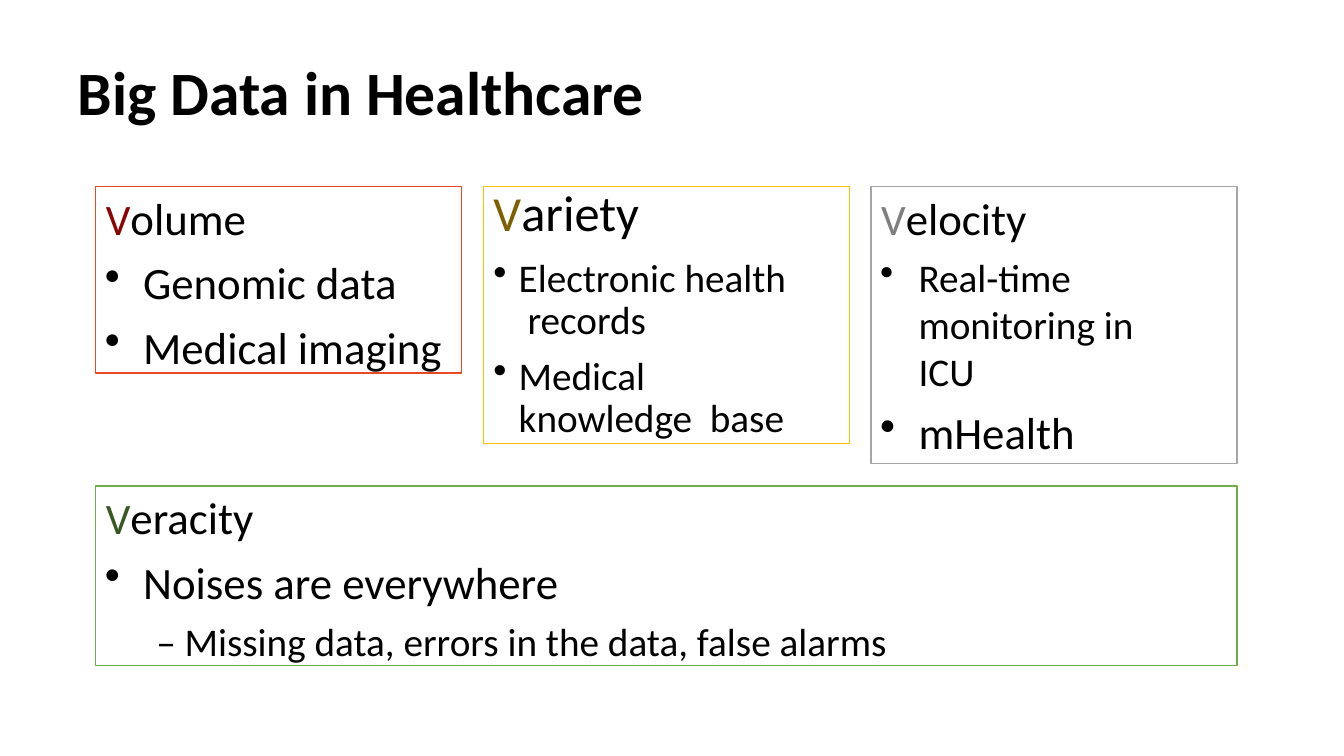
from dataclasses import dataclass

import lxml.etree
import pptx
import pptx.dml.color
import pptx.enum.shapes
import pptx.enum.text
import pptx.oxml.ns
import pptx.util
from pptx.util import Inches

FONT = "Calibri"
COLORS = {
    "text": "000000",
    "red": "E84A27", "dark red": "8B0302",
    "gold": "FFC000", "dark gold": "7F6000",
    "gray": "A5A5A5", "dark gray": "7F7F7F",
    "green": "70AD47", "dark green": "385723",
}


@dataclass
class Item:
    text: str
    size: float = 32
    before: float = 7.6
    left: float = 0.47
    hang: float = 0.38
    right: float = 0
    bullet: str = "•"
    lead: float | None = None  # exact line height in points


@dataclass
class Card:
    head: str
    hue: str
    left: float
    top: float
    width: float
    height: float
    items: list[Item]
    size: float = 32
    first: float = 31  # size of the coloured initial
    inset: float = 0.04
    lead: float | None = None


WIDE, GAP = 3.63, 0.215
LEFT, TOP = 0.95, 1.85
COLS = [LEFT + i * (WIDE + GAP) for i in range(3)]

CARDS = [
    Card("Variety", "gold", COLS[1], TOP, WIDE, 2.55, [
        Item("Electronic health  records", 28, 12, 0.35, 0.25, 0.62, lead=30),
        Item("Medical knowledge  base", 28, 9.8, 0.35, 0.25, 0.62, lead=30),
    ], size=36, first=35, inset=0, lead=39.7),
    Card("Volume", "red", COLS[0], TOP, WIDE, 1.85, [
        Item("Genomic data"),
        Item("Medical imaging"),
    ]),
    Card("Velocity", "gray", COLS[2], TOP, WIDE, 2.75, [
        Item("Real-time  monitoring in ICU", 28, 6.4, right=0.75),
        Item("mHealth"),
    ]),
    Card("Veracity", "green", LEFT, 4.82, 3 * WIDE + 2 * GAP, 1.78, [
        Item("Noises are everywhere"),
        Item("– Missing data, errors in the data, false alarms", 28, 6.7,
             left=0.6, hang=0, bullet=""),
    ]),
]


def color(name: str) -> pptx.dml.color.RGBColor:
    return pptx.dml.color.RGBColor.from_string(COLORS[name])


def indent(para, left: float, hang: float = 0, right: float = 0) -> None:
    props = para._p.get_or_add_pPr()
    for key, size in (("marL", left), ("marR", right), ("indent", -hang)):
        props.set(key, str(Inches(size)))


def style(font, size: float, name: str = "text") -> None:
    font.name = FONT
    font.size = pptx.util.Pt(size)
    font.color.rgb = color(name)


def setup(frame, inset: float) -> None:
    """Wrap the text and leave a margin at the top only."""
    frame.word_wrap = True
    frame.margin_left = frame.margin_right = frame.margin_bottom = 0
    frame.margin_top = Inches(inset)


def add_title(slide) -> None:
    box = slide.shapes.add_textbox(
        Inches(0.76), Inches(0.52), Inches(6.89), Inches(0.75))
    frame = box.text_frame
    setup(frame, 0.02)
    frame.vertical_anchor = pptx.enum.text.MSO_ANCHOR.MIDDLE
    para = frame.paragraphs[0]
    para.text = "Big Data in Healthcare"
    indent(para, 0.01)
    style(para.font, 44)
    para.font.bold = True


def add_item(frame, item: Item) -> None:
    para = frame.add_paragraph()
    para.text = item.text
    para.alignment = pptx.enum.text.PP_ALIGN.LEFT
    indent(para, item.left, item.hang, item.right)
    if item.bullet:
        mark = lxml.etree.SubElement(
            para._p.get_or_add_pPr(), pptx.oxml.ns.qn("a:buChar"))
        mark.set("char", item.bullet)
    para.space_before = pptx.util.Pt(item.before)
    if item.lead:
        para.line_spacing = pptx.util.Pt(item.lead)
    style(para.font, item.size)


def add_card(slide, card: Card) -> None:
    box = slide.shapes.add_shape(
        pptx.enum.shapes.MSO_SHAPE.RECTANGLE, Inches(card.left),
        Inches(card.top), Inches(card.width), Inches(card.height))
    box.shadow.inherit = False
    box.fill.background()
    box.line.color.rgb = color(card.hue)
    box.line.width = pptx.util.Pt(1)
    frame = box.text_frame
    setup(frame, card.inset)
    frame.vertical_anchor = pptx.enum.text.MSO_ANCHOR.TOP
    head = frame.paragraphs[0]
    head.alignment = pptx.enum.text.PP_ALIGN.LEFT
    indent(head, 0.1)
    if card.lead:
        head.line_spacing = pptx.util.Pt(card.lead)
    for text, size, name in (
            (card.head[0], card.first, "dark " + card.hue),
            (card.head[1:], card.size, "text")):
        run = head.add_run()
        run.text = text
        style(run.font, size, name)
    for item in card.items:
        add_item(frame, item)


def main() -> None:
    deck = pptx.Presentation()
    deck.slide_width, deck.slide_height = Inches(13.33), Inches(7.5)
    slide = deck.slides.add_slide(deck.slide_layouts[6])
    add_title(slide)
    for card in CARDS:
        add_card(slide, card)
    deck.save("out.pptx")


if __name__ == "__main__":
    main()
